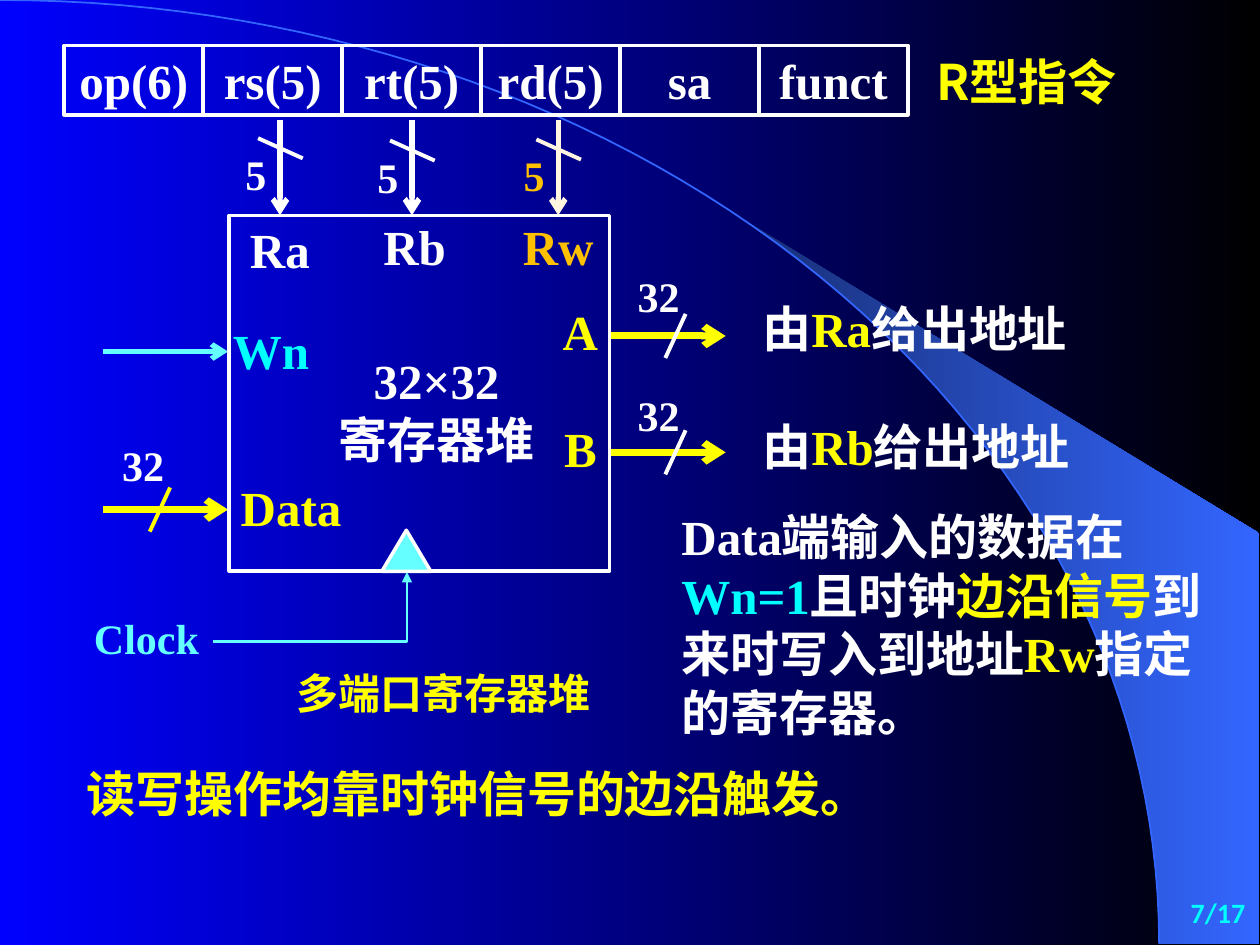
import math
from dataclasses import dataclass

import pptx
import pptx.dml.color
import pptx.enum.shapes
import pptx.enum.text
import pptx.oxml
import pptx.oxml.ns
import pptx.util

Pt = pptx.util.Pt
SHAPE = pptx.enum.shapes.MSO_SHAPE
CONNECTOR = pptx.enum.shapes.MSO_CONNECTOR
ALIGN = pptx.enum.text.PP_ALIGN
ANCHOR = pptx.enum.text.MSO_ANCHOR


@dataclass(frozen=True)
class Theme:
    white: str = "FFFFFF"
    yellow: str = "FFFF00"
    cyan: str = "00FFFF"
    aqua: str = "66FFFF"
    orange: str = "FFC000"
    cream: str = "FFF5E0"
    blue: str = "0000FF"
    black: str = "000000"
    navy: str = "182F76"
    sky: str = "3366FF"
    big: int = 28
    small: int = 24
    page: int = 16
    serif: str = "Times New Roman"
    cjk: str = "Noto Sans CJK SC"
    sans: str = "Calibri"


T = Theme()
ARC_W, ARC_H = 662.4, 539.3


@dataclass(frozen=True)
class Label:
    """Text box; each paragraph is a list of (text, colour) runs."""
    x: float
    y: float
    w: float
    h: float
    paragraphs: list
    size: int = T.big
    font: str = T.serif
    align: ALIGN = ALIGN.LEFT
    inset: tuple = (8, 3.6)


@dataclass(frozen=True)
class Port:
    """Five-bit register number going from the instruction into the file."""
    x: float
    dy: float
    line: str
    color: str


@dataclass(frozen=True)
class Bus:
    """32-bit data line."""
    x1: float
    x2: float
    y: float
    slash_x: float
    slash_color: str
    label_dy: float


def rgb(value: str):
    return pptx.dml.color.RGBColor.from_string(value)


def set_gradient(fill, colors: tuple) -> None:
    fill.gradient()
    fill.gradient_angle = 0
    for stop, color, position in zip(fill.gradient_stops, colors, (0, 1)):
        stop.color.rgb = rgb(color)
        stop.position = position


def set_line(sp, color: str, width: float) -> None:
    sp.line.color.rgb = rgb(color)
    sp.line.width = Pt(width)


def write(tf, paragraphs: list, size: int, font: str, align, inset: tuple) -> None:
    frame = {"margin_left": Pt(inset[0]), "margin_right": Pt(inset[0]),
             "margin_top": Pt(inset[1]), "margin_bottom": Pt(inset[1])}
    for name, value in frame.items():
        setattr(tf, name, value)
    fmt = {"name": font, "size": Pt(size), "bold": True}
    for i, runs in enumerate(paragraphs):
        p = tf.add_paragraph() if i else tf.paragraphs[0]
        p.alignment = align
        for text, color in runs:
            r = p.add_run()
            r.text = text
            for name, value in fmt.items():
                setattr(r.font, name, value)
            r.font.color.rgb = rgb(color)
            ea = pptx.oxml.parse_xml(
                f'<a:ea {pptx.oxml.ns.nsdecls("a")} typeface="{T.cjk}"/>')
            r.font._element.find(pptx.oxml.ns.qn("a:latin")).addnext(ea)


def add_label(s, label: Label) -> None:
    sp = s.shapes.add_textbox(Pt(label.x), Pt(label.y), Pt(label.w), Pt(label.h))
    sp.text_frame.word_wrap = True
    write(sp.text_frame, label.paragraphs, label.size, label.font, label.align,
          label.inset)


def add_centred(s, x, y, w, h, text, color, size=T.big, inset=(0, 0)) -> None:
    add_label(s, Label(x, y, w, h, [[(text, color)]], size, align=ALIGN.CENTER,
                       inset=inset))


def add_line(s, x1, y1, x2, y2, color, width, tail="", kind=CONNECTOR.STRAIGHT):
    c = s.shapes.add_connector(kind, Pt(x1), Pt(y1), Pt(x2), Pt(y2))
    set_line(c, color, width)
    ns = pptx.oxml.ns.nsdecls("a")
    if tail:
        c.line._get_or_add_ln().append(
            pptx.oxml.parse_xml(f'<a:tailEnd {ns} type="{tail}"/>'))
    c._element.spPr.append(pptx.oxml.parse_xml(f"<a:effectLst {ns}/>"))
    return c


def add_box(s, kind, x, y, w, h, width):
    sp = s.shapes.add_shape(kind, Pt(x), Pt(y), Pt(w), Pt(h))
    sp.shadow.inherit = False
    sp.fill.background()
    set_line(sp, T.white, width)
    return sp


def arc_points(start: float, steps: int = 60) -> list:
    """Points on the quarter ellipse from angle start to its lower end."""
    angles = [start + (math.pi / 2 - start) * i / steps for i in range(steps + 1)]
    return [(Pt(ARC_W * math.sin(a)), Pt(ARC_H * (1 - math.cos(a)))) for a in angles]


def add_outline(s, points: list, close: bool):
    builder = s.shapes.build_freeform(*points[0])
    builder.add_line_segments(points[1:], close=close)
    sp = builder.convert_to_shape()
    sp.shadow.inherit = False
    return sp


def add_backdrop(s) -> None:
    set_gradient(s.background.fill, (T.blue, T.black))
    edge = [(Pt(719.3), Pt(ARC_H)), (Pt(719.3), Pt(304.6))]
    wedge = add_outline(s, arc_points(math.asin(424 / ARC_W)) + edge, True)
    set_gradient(wedge.fill, (T.navy, T.sky))
    wedge.line.fill.background()
    arc = add_outline(s, arc_points(0), False)
    arc.fill.background()
    set_line(arc, T.sky, 1)


def add_instruction(s) -> None:
    x, pitch = 36.7, 79.4
    for field in ("op(6)", "rs(5)", "rt(5)", "rd(5)", "sa", "funct"):
        w = 85 if field == "funct" else pitch
        sp = add_box(s, SHAPE.RECTANGLE, x, 26, w, 39.6, 2.25)
        sp.text_frame.word_wrap = False
        sp.text_frame.vertical_anchor = ANCHOR.MIDDLE
        write(sp.text_frame, [[(field, T.white)]], T.big, T.serif, ALIGN.CENTER,
              (7.2, 3.6))
        x += w


def add_port(s, port: Port) -> None:
    x, dy = port.x, port.dy
    add_line(s, x, 68.4, x, 123, port.line, 3, "arrow")
    add_line(s, x + 13, 90.5 + dy, x - 12.5, 79 + dy, port.line, 2.25)
    add_centred(s, x - 36.8, 85 + dy, 46, 29, "5", port.color, T.small)


def add_bus(s, bus: Bus) -> None:
    x, y = bus.slash_x, bus.y
    add_line(s, bus.x1, y, bus.x2, y, T.yellow, 4, "arrow")
    add_line(s, x + 5.8, y - 12.6, x - 5.8, y + 12.6, bus.slash_color, 2.25)
    add_centred(s, x - 38.8, y + bus.label_dy, 58.3, 36.7, "32", T.white, T.small,
                (8, 3.6))


def add_register_file(s) -> None:
    add_box(s, SHAPE.RECTANGLE, 131, 123.2, 217.4, 203, 2)
    clock = add_box(s, SHAPE.FLOWCHART_MERGE, 218.2, 303, 28, 23.5, 2)
    clock.rotation = 180
    clock.fill.solid()
    clock.fill.fore_color.rgb = rgb(T.aqua)
    for x, y, w, text, color in (
            (135.4, 125.3, 49, "Ra", T.white), (212.4, 123.8, 49, "Rb", T.white),
            (294.5, 123.8, 49, "Rw", T.orange), (130.3, 183, 49, "Wn", T.cyan),
            (131, 273, 70.6, "Data", T.yellow), (304.6, 172, 54, "A", T.yellow),
            (304.6, 239, 54, "B", T.yellow)):
        add_centred(s, x, y, w, 34, text, color)
    add_label(s, Label(172.8, 196.6, 153.4, 75, [[("32×32", T.white)],
                       [("寄存器堆", T.white)]], align=ALIGN.CENTER))


PORTS = (Port(160, 0, T.white, T.white), Port(235.4, 1.3, T.white, T.white),
         Port(319, 0.7, T.cream, T.orange))
BUSES = (Bus(59, 130.3, 291.2, 91.4, T.yellow, -43.5),
         Bus(349, 414.7, 192, 386, T.white, -40.8),
         Bus(348.5, 414.7, 258.5, 386, T.white, -39.6))
LABELS = (
    Label(568.8, 508.3, 149.8, 30, [[("7/17", T.cyan)]], T.page, T.sans,
          ALIGN.RIGHT, (7.2, 3.6)),
    Label(161.3, 378, 278.6, 36.7, [[("多端口寄存器堆", T.yellow)]], T.small, T.cjk),
    Label(427.7, 167, 215.3, 41.8,
          [[("由", T.white), ("Ra", T.yellow), ("给出地址", T.white)]]),
    Label(427.7, 234.7, 215.3, 41.8,
          [[("由", T.white), ("Rb", T.yellow), ("给出地址", T.white)]]),
    Label(382.3, 285.8, 317.5, 141.8,
          [[("Data端输入的数据在", T.white), ("Wn=1", T.cyan), ("且时钟", T.white),
            ("边沿信号", T.yellow), ("到来时写入到地址", T.white), ("Rw", T.yellow),
            ("指定的寄存器。", T.white)]], inset=(7.2, 3.6)),
    Label(42.5, 432.7, 575.3, 41, [[("读写操作均靠时钟信号的边沿触发。", T.yellow)]],
          inset=(7.2, 3.6)),
    Label(35.3, 346.3, 86.4, 36.7, [[("Clock", T.aqua)]], T.small,
          align=ALIGN.RIGHT),
    Label(529.9, 26, 113, 39.6, [[("R型指令", T.yellow)]], font=T.cjk,
          align=ALIGN.CENTER, inset=(0, 3.6)),
)


def main() -> None:
    prs = pptx.Presentation()
    prs.slide_width, prs.slide_height = Pt(720), Pt(540)
    s = prs.slides.add_slide(prs.slide_layouts[6])
    add_backdrop(s)
    for port in PORTS:
        add_port(s, port)
    for bus in BUSES:
        add_bus(s, bus)
    add_line(s, 59, 200.9, 130.3, 200.9, T.aqua, 3, "arrow")
    add_register_file(s)
    clock_wire = add_line(s, 121.7, 366.5, 232.6, 326.9, T.aqua, 1.5, "triangle",
                          CONNECTOR.ELBOW)
    clock_wire._element.spPr.prstGeom.set("prst", "bentConnector2")
    add_instruction(s)
    for label in LABELS:
        add_label(s, label)
    prs.save("out.pptx")


if __name__ == "__main__":
    main()
